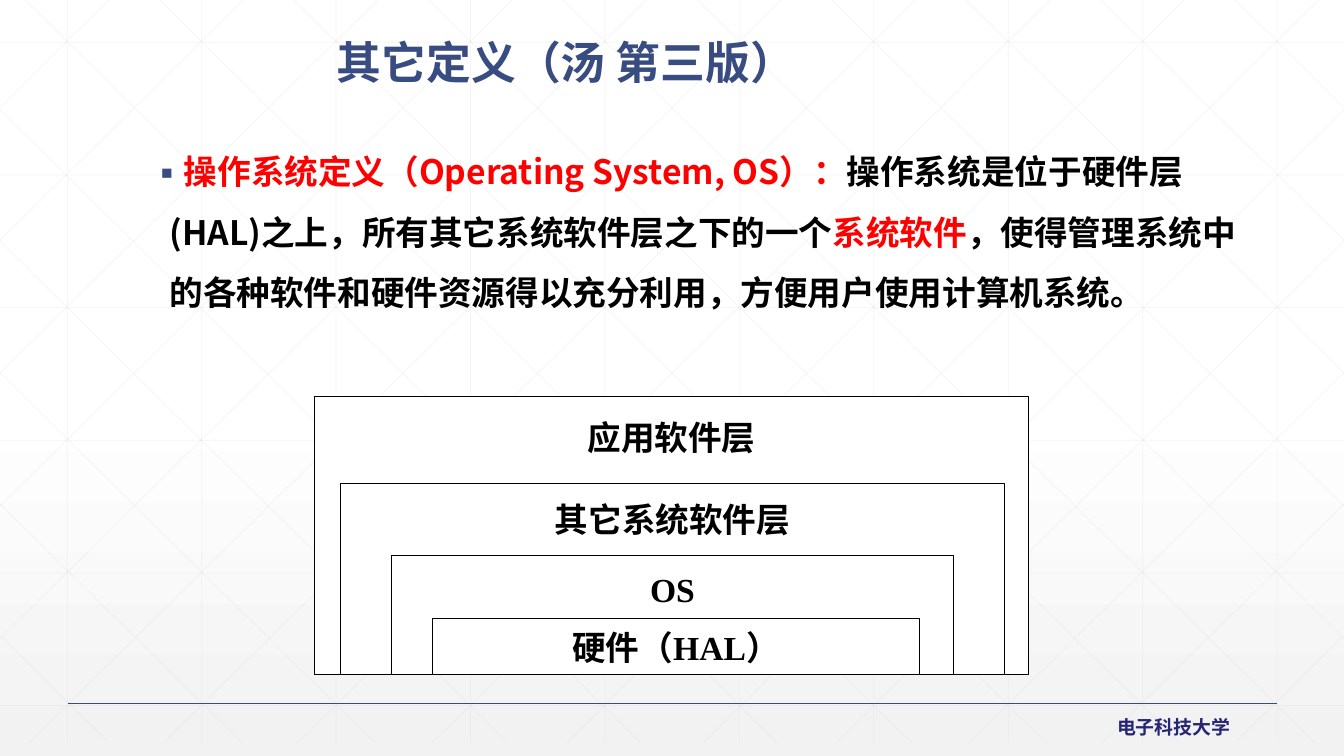
from lxml import etree
from pptx import Presentation, util as u
from pptx.dml.color import RGBColor
from pptx.enum import shapes, text
from pptx.oxml.ns import qn

W, H = 13.33, 7.5
GRID_H = 7.37
STEP = 4 / 3
SLOPE = 0.988
SANS, SERIF = "Noto Sans CJK SC", "Times New Roman"
NAVY, RED, BLACK, WHITE = "384C81", "FF0000", "000000", "FFFFFF"


def rgb(color):
    return RGBColor.from_string(color)


def place(sp, x, y, w, h):
    sp.left, sp.top, sp.width, sp.height = (u.Inches(v) for v in (x, y, w, h))


def add_run(p, content, size=24, font=SANS, color=BLACK):
    r = p.add_run()
    r.text = content
    r.font.size = u.Pt(size)
    r.font.bold = True
    r.font.name = font
    r.font.color.rgb = rgb(color)
    ea = etree.SubElement(r.font._element, qn("a:ea"))
    ea.set("typeface", SANS)


def add_line(parent, x1, y1, x2, y2, color, width, opacity=None):
    c = parent.add_connector(shapes.MSO_CONNECTOR.STRAIGHT,
                             *(u.Inches(v) for v in (x1, y1, x2, y2)))
    c.line.color.rgb = rgb(color)
    c.line.width = u.Pt(width)
    if opacity:
        clr = c.element.spPr.find(".//" + qn("a:srgbClr"))
        etree.SubElement(clr, qn("a:alpha")).set("val", str(opacity * 1000))
    etree.SubElement(c.element.spPr, qn("a:effectLst"))


def add_grid(s):
    lines = [(STEP * (i + 0.5), 0, STEP * (i + 0.5), GRID_H) for i in range(10)]
    lines += [(0, 0.42 + 1.316 * i, W, 0.42 + 1.316 * i) for i in range(6)]
    starts = [(0.25 + STEP * i, 0) for i in range(10)]
    starts += [(0, 1.09 + 1.303 * i) for i in range(5)]
    for x, y in starts:
        run = min(W - x, (GRID_H - y) / SLOPE)
        x2, y2 = x + run, y + run * SLOPE
        lines += [(x, y, x2, y2), (W - x, y, W - x2, y2)]
    grid = s.shapes.add_group_shape().shapes
    for line in lines:
        add_line(grid, *line, "D9D9D9", 0.5, opacity=25)


def add_label(s, content, x, y, w, h, **fmt):
    tf = s.shapes.add_textbox(*(u.Inches(v) for v in (x, y, w, h))).text_frame
    tf.word_wrap = False
    tf.vertical_anchor = text.MSO_ANCHOR.MIDDLE
    p = tf.paragraphs[0]
    p.alignment = text.PP_ALIGN.CENTER
    add_run(p, content, **fmt)


def add_layer(s, x, y, w, bottom):
    sp = s.shapes.add_shape(shapes.MSO_SHAPE.RECTANGLE,
                            *(u.Inches(v) for v in (x, y, w, bottom - y)))
    sp.shadow.inherit = False
    sp.fill.solid()
    sp.fill.fore_color.rgb = rgb(WHITE)
    sp.line.color.rgb = rgb(BLACK)
    sp.line.width = u.Pt(0.75)


def set_background(s):
    fill = s.background.fill
    fill.gradient()
    fill.gradient_angle = 270
    for stop, (pos, color) in zip(fill.gradient_stops, ((0.53, WHITE), (1, "F2F2F2"))):
        stop.position = pos
        stop.color.rgb = rgb(color)


def set_title(s, content):
    sp = s.shapes.title
    s.shapes.element.append(sp.element)
    place(sp, 3.04, 0.35, 8.62, 1.45)
    tf = sp.text_frame
    tf.vertical_anchor = text.MSO_ANCHOR.TOP
    tf.margin_left = u.Inches(0.3)
    p = tf.paragraphs[0]
    p.alignment = text.PP_ALIGN.LEFT
    p.line_spacing = 0.9
    add_run(p, content, size=32, color=NAVY)


def set_definition(s, runs):
    sp = s.placeholders[1]
    s.shapes.element.append(sp.element)
    place(sp, 1.39, 1.25, 11.24, 2.53)
    tf = sp.text_frame
    tf.vertical_anchor = text.MSO_ANCHOR.TOP
    p = tf.paragraphs[0]
    p.line_spacing = 1.5
    p.space_before = u.Pt(0)
    pPr = p._p.get_or_add_pPr()
    pPr.set("marL", str(u.Inches(0.19)))
    pPr.set("indent", str(u.Inches(-0.19)))
    clr = etree.SubElement(pPr, qn("a:buClr"))
    etree.SubElement(clr, qn("a:srgbClr")).set("val", NAVY)
    etree.SubElement(pPr, qn("a:buFont")).set("typeface", SANS)
    etree.SubElement(pPr, qn("a:buChar")).set("char", "▪")
    for content, color in runs:
        add_run(p, content, color=color)


def main():
    prs = Presentation()
    prs.slide_width, prs.slide_height = u.Inches(W), u.Inches(H)
    s = prs.slides.add_slide(prs.slide_layouts[1])
    set_background(s)
    add_grid(s)
    add_line(s.shapes, 0.67, 6.98, 12.67, 6.98, NAVY, 1)
    add_label(s, "电子科技大学", 10.97, 7.05, 1.34, 0.33, size=13.5, color="262673")
    set_definition(s, [
        ("操作系统定义（Operating System, OS）：", RED),
        ("操作系统是位于硬件层(HAL)之上，所有其它系统软件层之下的一个", BLACK),
        ("系统软件", RED),
        ("，使得管理系统中的各种软件和硬件资源得以充分利用，方便用户使用计算机系统。", BLACK),
    ])
    set_title(s, "其它定义（汤 第三版）")
    layers = [
        ("应用软件层", 3.12, 3.93, 7.08, 4.09),
        ("其它系统软件层", 3.38, 4.8, 6.58, 4.9),
        ("OS", 3.88, 5.51, 5.58, 5.59),
        ("硬件（HAL）", 4.29, 6.14, 4.83, 6.17),
    ]
    for name, x, y, w, label_y in layers:
        add_layer(s, x, y, w, bottom=6.69)
        add_label(s, name, x, label_y, w, 0.5, font=SERIF)
    prs.save("out.pptx")


if __name__ == "__main__":
    main()
